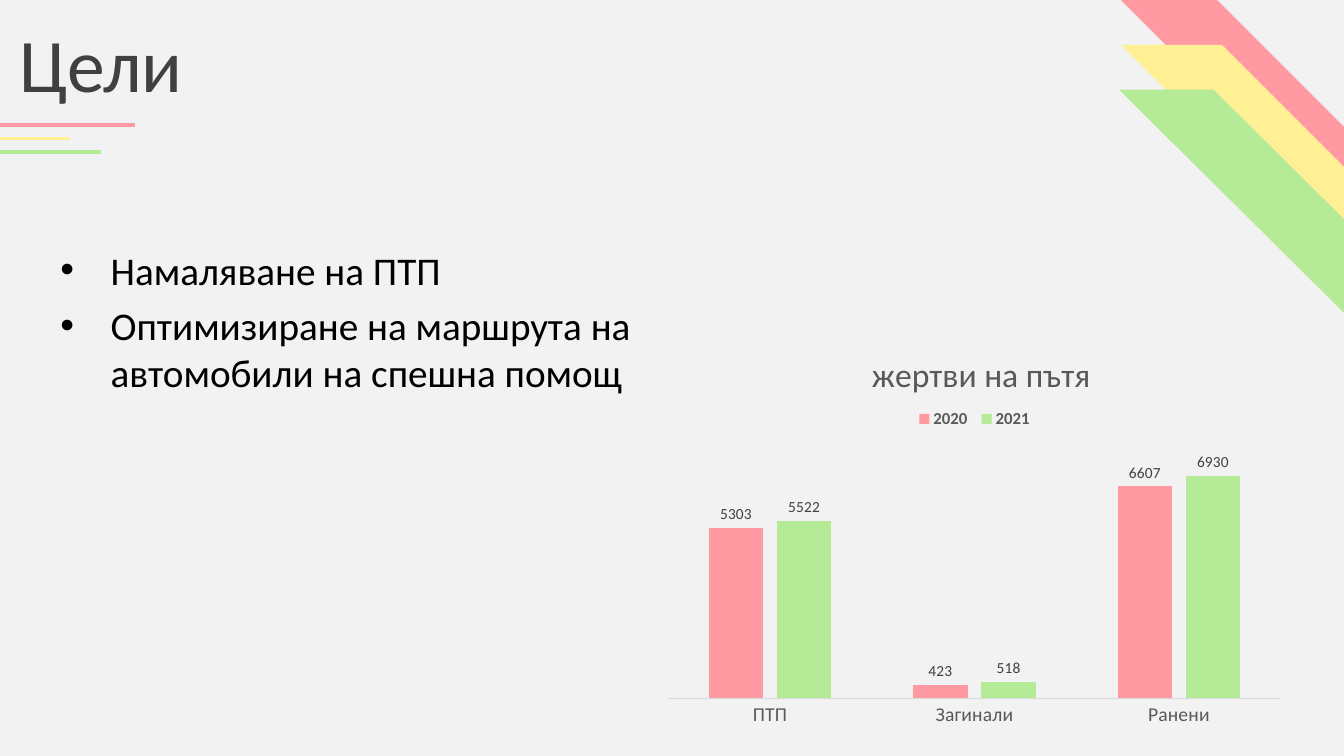
from lxml import etree
from pptx import Presentation
from pptx import util as u
from pptx.chart import data
from pptx.dml.color import RGBColor
from pptx.enum import chart as ch, shapes, text
from pptx.oxml import parse_xml
from pptx.oxml.ns import nsdecls, qn

PAPER = RGBColor(0xF2, 0xF2, 0xF2)
ROSE = RGBColor(0xFF, 0x9A, 0xA2)
LEMON = RGBColor(0xFF, 0xF0, 0x96)
GREEN = RGBColor(0xB5, 0xEA, 0x96)
BLACK = RGBColor(0, 0, 0)
DARK = RGBColor(0x40, 0x40, 0x40)
GREY = RGBColor(0x59, 0x59, 0x59)
PALE = RGBColor(0xD9, 0xD9, 0xD9)
WIDE, HIGH = 33.87, 19.05


def style(font, size, color, bold=False):
    font.name = "Calibri"
    font.size = u.Pt(size)
    font.bold = bold
    font.color.rgb = color


def write(frame, lines, size, color, align=text.PP_ALIGN.LEFT, after=0, bullet=None):
    frame.word_wrap = True
    for i, line in enumerate(lines):
        para = frame.add_paragraph() if i else frame.paragraphs[0]
        para.text = line
        if bullet:
            props = para._p.get_or_add_pPr()
            props.set("marL", str(u.Cm(1.27)))
            props.set("indent", str(u.Cm(-1.27)))
            face = etree.SubElement(props, qn("a:buFont"))
            face.set("typeface", "Arial")
            etree.SubElement(props, qn("a:buChar")).set("char", bullet)
        para.alignment = align
        para.space_after = u.Pt(after)
        style(para.font, size, color)


def place(shape, box):
    shape.left, shape.top, shape.width, shape.height = map(u.Cm, box)


def corner(slide, box):
    left, top, wide, high = box
    bands = [(0, wide, 0.569, ROSE), (0, wide, 0.547, LEMON),
             (-0.05, wide + 0.05, 0.58, GREEN)]
    for i, (shift, span, cut, color) in enumerate(bands):
        area = map(u.Cm, (left + shift, top + 1.13 * i, span, high))
        band = slide.shapes.add_shape(shapes.MSO_SHAPE.DIAGONAL_STRIPE, *area)
        band.adjustments[0] = cut
        band._element.spPr.find(qn("a:xfrm")).set("flipH", "1")
        band.shadow.inherit = False
        band.fill.solid()
        band.fill.fore_color.rgb = color
        band.line.fill.background()


def head(slide, box):
    title = slide.shapes.title
    place(title, box)
    frame = title.text_frame
    frame.vertical_anchor = text.MSO_ANCHOR.MIDDLE
    write(frame, ["Цели"], 54, DARK, align=text.PP_ALIGN.CENTER)


def rules(slide, box):
    left, top, wide, high = box
    for i, (part, color) in enumerate([(1, ROSE), (0.52, LEMON), (0.75, GREEN)]):
        y = top + high * i / 2
        rule = slide.shapes.add_connector(
            shapes.MSO_CONNECTOR.STRAIGHT,
            *map(u.Cm, (left, y, left + wide * part, y)))
        rule.line.color.rgb = color
        rule.line.width = u.Pt(2.25)
        etree.SubElement(rule._element.spPr, qn("a:effectLst"))


def goals(slide, box):
    note = slide.shapes.add_textbox(*map(u.Cm, box))
    write(note.text_frame,
          ["Намаляване на ПТП",
           "Оптимизиране на маршрута на автомобили на спешна помощ"],
          28, BLACK, after=6, bullet="•")


def pin(part, x, y, size=None, inner=False):
    tags = [("xMode", "edge"), ("yMode", "edge"), ("x", x), ("y", y)]
    if inner:
        tags.insert(0, ("layoutTarget", "inner"))
    if size:
        tags += zip("wh", size)
    body = "".join(f'<c:{tag} val="{val}"/>' for tag, val in tags)
    old = part.find(qn("c:layout"))
    if old is not None:
        part.remove(old)
    lay = parse_xml(f'<c:layout {nsdecls("c")}><c:manualLayout>{body}'
                    '</c:manualLayout></c:layout>')
    mark = part.find(qn("c:overlay"))
    if inner:
        part.insert(0, lay)
    else:
        mark.addprevious(lay)


def toll(slide, box):
    stats = data.CategoryChartData()
    stats.categories = ["ПТП", "Загинали", "Ранени"]
    stats.add_series("2020", (5303, 423, 6607))
    stats.add_series("2021", (5522, 518, 6930))
    graph = slide.shapes.add_chart(
        ch.XL_CHART_TYPE.COLUMN_CLUSTERED, *map(u.Cm, box), stats).chart
    style(graph.font, 10, BLACK)

    graph.has_title = True
    write(graph.chart_title.text_frame, ["жертви на пътя"], 24, GREY,
          align=text.PP_ALIGN.CENTER)
    graph.chart_title.include_in_layout = False
    graph.has_legend = True
    graph.legend.position = ch.XL_LEGEND_POSITION.TOP
    graph.legend.include_in_layout = False
    style(graph.legend.font, 12, GREY, bold=True)

    axis = graph.category_axis
    axis.major_tick_mark = ch.XL_TICK_MARK.NONE
    axis.format.line.color.rgb = PALE
    axis.format.line.width = u.Pt(0.75)
    style(axis.tick_labels.font, 14, GREY)
    scale = graph.value_axis
    scale.minimum_scale, scale.maximum_scale = 0, 8000
    scale.has_major_gridlines = False
    scale.visible = False

    plot = graph.plots[0]
    plot.gap_width, plot.overlap = 150, -25
    plot.vary_by_categories = False
    for row, color in zip(plot.series, (ROSE, GREEN)):
        row.format.fill.solid()
        row.format.fill.fore_color.rgb = color
        tags = row.data_labels
        tags.show_value = True
        tags.position = ch.XL_LABEL_POSITION.OUTSIDE_END
        style(tags.font, 11, DARK)

    pin(graph.chart_title._element, 0.33, 0.06)
    pin(graph.legend._element, 0.4, 0.2, size=(0.2, 0.07))
    pin(graph._chartSpace.chart.plotArea, 0.02, 0.29, size=(0.96, 0.62), inner=True)


def main():
    deck = Presentation()
    deck.slide_width, deck.slide_height = u.Cm(WIDE), u.Cm(HIGH)
    slide = deck.slides.add_slide(deck.slide_layouts[5])
    slide.background.fill.solid()
    slide.background.fill.fore_color.rgb = PAPER
    corner(slide, (WIDE - 5.62, 0, 5.62, 5.62))
    head(slide, (-0.5, 0.28, 6.1, 2.57))
    rules(slide, (0, 3.15, 3.4, 0.68))
    goals(slide, (1.27, 6.07, 15.65, 4.06))
    toll(slide, (16.51, 8.1, 16.1, 10.44))
    deck.save("out.pptx")


if __name__ == "__main__":
    main()
